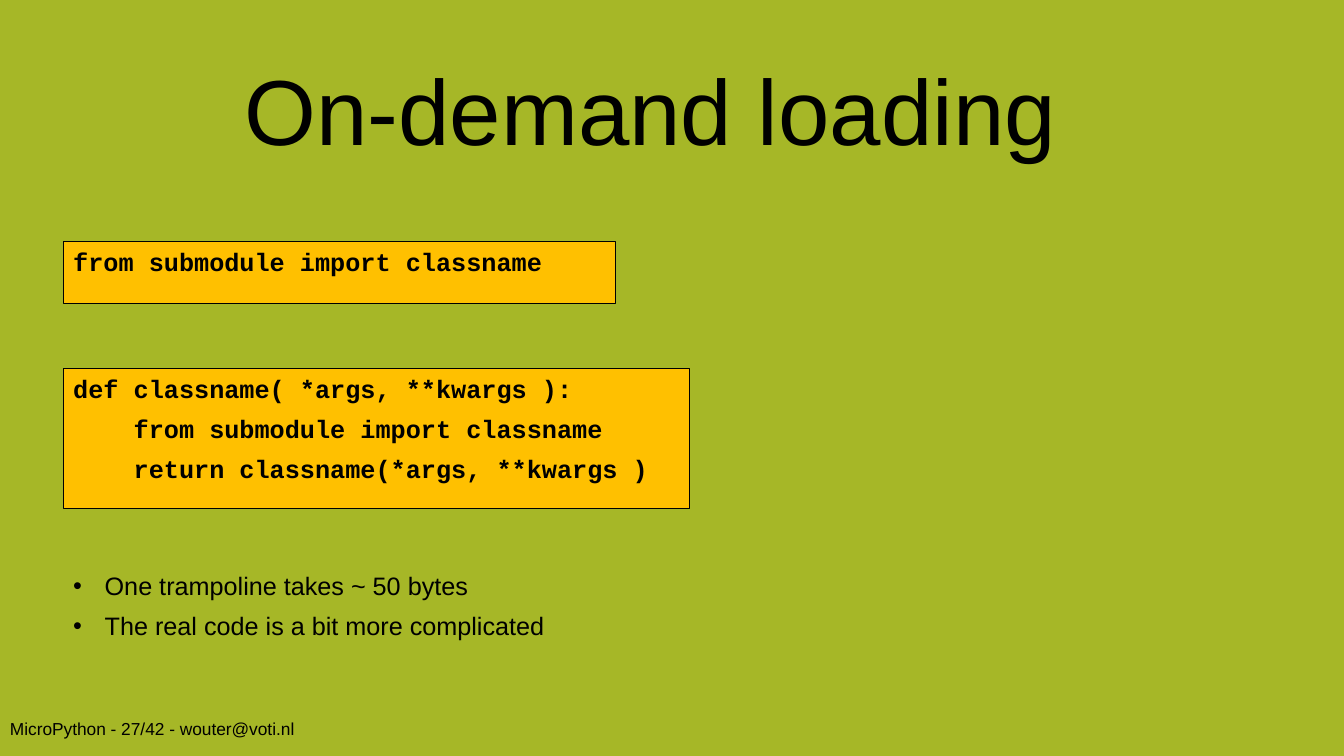
from lxml.etree import SubElement
from pptx import Presentation
from pptx.dml.color import RGBColor
from pptx.enum.shapes import MSO_SHAPE as Shape
from pptx.enum.text import MSO_ANCHOR as Anchor, PP_ALIGN as Align
from pptx.oxml.ns import qn
from pptx.util import Pt

COLORS = {"background": "A6B727", "code": "FFC000", "ink": "000000"}
BODY_FONT, CODE_FONT = "Arial", "Courier New"

TITLE = "On-demand loading"
FOOTER = "MicroPython - 27/42 - wouter@voti.nl"
IMPORT_CODE = ["from submodule import classname"]
TRAMPOLINE_CODE = [
    "def classname( *args, **kwargs ):",
    "    from submodule import classname",
    "    return classname(*args, **kwargs )",
]
REMARKS = [
    "One trampoline takes ~ 50 bytes",
    "The real code is a bit more complicated",
]

SLIDE_SIZE = 960, 540
LEFT = 45.2
TITLE_BOX = 36.6, 24.5, 856, 100
FOOTER_BOX = 0, 511.2, 494.6, 28.8
IMPORT_BOX = LEFT, 172.4, 394.4, 44.2
TRAMPOLINE_BOX = LEFT, 263.2, 447.2, 100
REMARKS_BOX = LEFT, 403.9, 416, 77
BULLET_INDENT = 22.5


def color(name):
    return RGBColor.from_string(COLORS[name])


def add_bullet(paragraph):
    properties = paragraph._p.get_or_add_pPr()
    properties.set("marL", str(Pt(BULLET_INDENT)))
    properties.set("indent", str(-Pt(BULLET_INDENT)))
    SubElement(properties, qn("a:buFont"), typeface="Arial")
    SubElement(properties, qn("a:buChar"), char="•")


def write(shape, lines, size, font=BODY_FONT, bold=False, align=Align.LEFT,
          anchor=Anchor.TOP, spacing=1.0, after=7, bulleted=False):
    frame = shape.text_frame
    frame.word_wrap = True
    frame.vertical_anchor = anchor
    for index, line in enumerate(lines):
        paragraph = frame.add_paragraph() if index else frame.paragraphs[0]
        if bulleted:
            add_bullet(paragraph)
        paragraph.alignment = align
        paragraph.line_spacing = spacing
        paragraph.space_after = Pt(after)
        run = paragraph.add_run()
        run.text = line
        run.font.name = font
        run.font.size = Pt(size)
        run.font.bold = bold
        run.font.color.rgb = color("ink")


def add_text(slide, box, lines, size, **style):
    write(slide.shapes.add_textbox(*map(Pt, box)), lines, size, **style)


def add_code(slide, box, lines):
    shape = slide.shapes.add_shape(Shape.RECTANGLE, *map(Pt, box))
    shape.shadow.inherit = False
    shape.fill.solid()
    shape.fill.fore_color.rgb = color("code")
    shape.line.color.rgb = color("ink")
    shape.line.width = Pt(0.75)
    write(shape, lines, 18, font=CODE_FONT, bold=True)


def main():
    presentation = Presentation()
    presentation.slide_width, presentation.slide_height = map(Pt, SLIDE_SIZE)
    slide = presentation.slides.add_slide(presentation.slide_layouts[6])
    slide.background.fill.solid()
    slide.background.fill.fore_color.rgb = color("background")

    add_text(slide, FOOTER_BOX, [FOOTER], 12.4, spacing=0.87, after=8)
    add_text(slide, TITLE_BOX, [TITLE], 66, align=Align.CENTER,
             anchor=Anchor.MIDDLE, spacing=1.07, after=8)
    add_code(slide, IMPORT_BOX, IMPORT_CODE)
    add_code(slide, TRAMPOLINE_BOX, TRAMPOLINE_CODE)
    add_text(slide, REMARKS_BOX, REMARKS, 18, bulleted=True)
    presentation.save("out.pptx")


if __name__ == "__main__":
    main()
